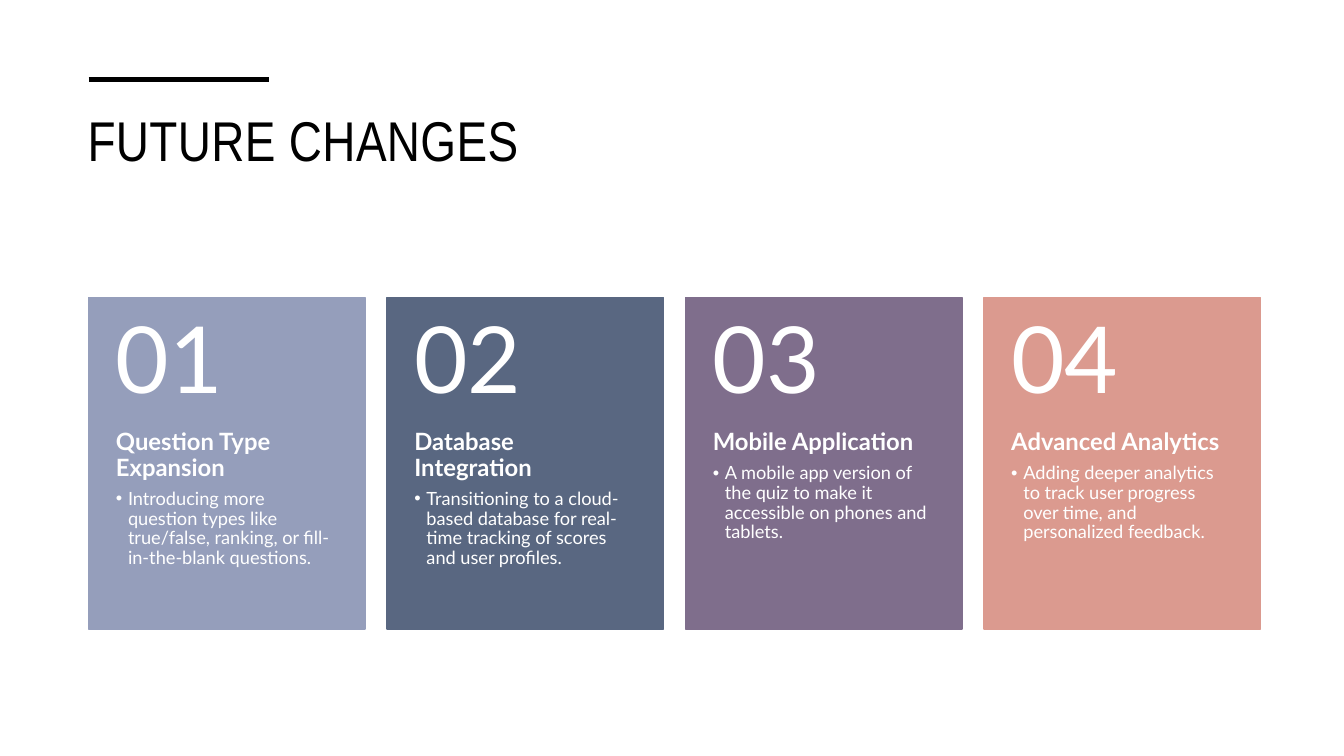
from lxml.etree import SubElement
from pptx import Presentation
from pptx.dml.color import RGBColor
from pptx.enum.shapes import MSO_CONNECTOR, MSO_SHAPE
from pptx.enum.text import MSO_ANCHOR
from pptx.oxml.ns import qn
from pptx.util import Inches, Pt

LEFT, TOP = 0.88, 2.95
CARD_W, CARD_H, PITCH = 2.74, 3.29, 2.96
NUMBER_H = 0.4 * CARD_H
PAD = 0.27
WHITE, BLACK = "FFFFFF", "000000"

CARDS = [
    ("959EBB", "Question Type Expansion",
     "Introducing more question types like true/false, ranking, or fill-in-the-blank questions."),
    ("596781", "Database Integration",
     "Transitioning to a cloud-based database for real-time tracking of scores and user profiles."),
    ("7F6E8C", "Mobile Application",
     "A mobile app version of the quiz to make it accessible on phones and tablets."),
    ("DB9A8F", "Advanced Analytics",
     "Adding deeper analytics to track user progress over time, and personalized feedback."),
]


def color(hex_code):
    return RGBColor.from_string(hex_code)


def add_text_frame(s, box, insets, anchor=MSO_ANCHOR.TOP):
    tf = s.shapes.add_textbox(*map(Inches, box)).text_frame
    tf.word_wrap = True
    tf.vertical_anchor = anchor
    for side, inset in zip(("left", "top", "right", "bottom"), insets):
        setattr(tf, f"margin_{side}", Inches(inset))
    return tf


def write(p, text, size, font="Lato", fill=WHITE, bold=False, **spacing):
    """Fill paragraph p with one run; spacing holds paragraph attributes."""
    for name, value in spacing.items():
        setattr(p, name, value)
    r = p.add_run()
    r.text = text
    for name, value in {"size": Pt(size), "name": font, "bold": bold}.items():
        setattr(r.font, name, value)
    r.font.color.rgb = color(fill)
    return r


def add_bullet(p, indent):
    pPr = p._p.get_or_add_pPr()
    pPr.set("marL", str(Inches(indent)))
    pPr.set("indent", str(-Inches(indent)))
    SubElement(pPr, qn("a:buFont"), typeface="Arial")
    SubElement(pPr, qn("a:buChar"), char="•")


def add_title(s, text):
    tf = add_text_frame(s, (0.77, 1, 11.81, 1.15), (0.1, 0.05, 0.1, 0.05))
    r = write(tf.paragraphs[0], text, 40, "Arial Narrow", BLACK)
    r.font._element.set("spc", "30")


def add_accent_line(s, y, length):
    ends = (LEFT, y, LEFT + length, y)
    line = s.shapes.add_connector(MSO_CONNECTOR.STRAIGHT, *map(Inches, ends))
    line.line.color.rgb = color(BLACK)
    line.line.width = Pt(3.5)
    SubElement(line._element.spPr, qn("a:effectLst"))


def add_card(s, index, fill, heading, detail):
    x = LEFT + index * PITCH
    sp = s.shapes.add_shape(MSO_SHAPE.RECTANGLE, *map(Inches, (x, TOP, CARD_W, CARD_H)))
    sp.shadow.inherit = False
    sp.fill.solid()
    sp.fill.fore_color.rgb = color(fill)
    sp.line.color.rgb = color(fill)
    sp.line.width = Pt(1)

    tf = add_text_frame(s, (x, TOP + NUMBER_H, CARD_W, CARD_H - NUMBER_H), (PAD, 0, PAD, 0.36))
    write(tf.paragraphs[0], heading, 17, bold=True, line_spacing=0.9, space_after=Pt(6))
    p = tf.add_paragraph()
    write(p, detail, 13, line_spacing=0.9, space_after=Pt(2), level=1)
    add_bullet(p, 0.12)

    tf = add_text_frame(s, (x, TOP, CARD_W, NUMBER_H), (PAD, 0.18, PAD, 0.18), MSO_ANCHOR.MIDDLE)
    write(tf.paragraphs[0], f"{index + 1:02d}", 66, line_spacing=0.9)


def main():
    prs = Presentation()
    prs.slide_width, prs.slide_height = Inches(13.33), Inches(7.5)
    s = prs.slides.add_slide(prs.slide_layouts[6])
    add_title(s, "FUTURE CHANGES")
    add_accent_line(s, 0.79, 1.79)
    for index, card in enumerate(CARDS):
        add_card(s, index, *card)
    prs.save("out.pptx")


if __name__ == "__main__":
    main()
